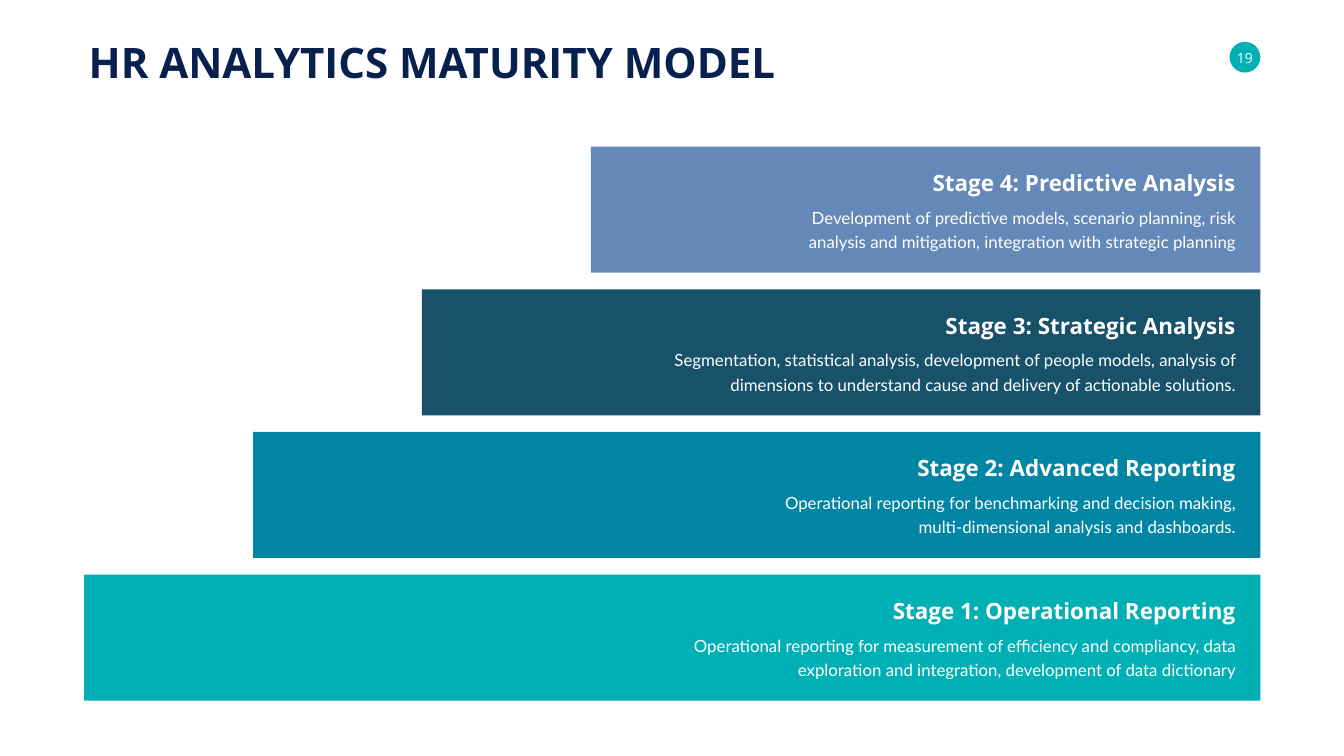
from pptx import Presentation
from pptx.dml.color import RGBColor
from pptx.enum.shapes import MSO_SHAPE
from pptx.enum.text import MSO_ANCHOR, MSO_AUTO_SIZE, PP_ALIGN
from pptx.util import Emu, Pt

RECT, OVAL = MSO_SHAPE.RECTANGLE, MSO_SHAPE.OVAL
TOP, MIDDLE, BOTTOM = MSO_ANCHOR.TOP, MSO_ANCHOR.MIDDLE, MSO_ANCHOR.BOTTOM
LEFT, CENTER, RIGHT = PP_ALIGN.LEFT, PP_ALIGN.CENTER, PP_ALIGN.RIGHT
FIT = MSO_AUTO_SIZE.SHAPE_TO_FIT_TEXT

WHITE = RGBColor(0xFF, 0xFF, 0xFF)
NAVY = RGBColor(0x08, 0x20, 0x4D)
TEAL = RGBColor(0x00, 0xB0, 0xB5)
OCEAN = RGBColor(0x00, 0x85, 0xA4)
DEEP = RGBColor(0x18, 0x52, 0x6A)
STEEL = RGBColor(0x64, 0x88, 0xB7)

SCALE = 9144
EDGE = 2500
TEXT_EDGE = 2461
FIRST_LEFT, FIRST_TOP = 1172, 291
STEP_LEFT, STEP_TOP = 335, 283
BAR_HIGH = 250

STAGES = [
    ("Stage 4: Predictive Analysis", STEEL, 627, 981,
     "Development of predictive models, scenario planning, risk analysis "
     "and mitigation, integration with strategic planning"),
    ("Stage 3: Strategic Analysis", DEEP, 601, 1155,
     "Segmentation, statistical analysis, development of people models, analysis of "
     "dimensions to understand cause and delivery of actionable solutions."),
    ("Stage 2: Advanced Reporting", OCEAN, 657, 981,
     "Operational reporting for benchmarking and decision making, "
     "multi-dimensional analysis and dashboards."),
    ("Stage 1: Operational Reporting", TEAL, 706, 1128,
     "Operational reporting for measurement of efficiency and compliancy, data "
     "exploration and integration, development of data dictionary"),
]


def px(count):
    return Emu(count * SCALE)


def write(frame, text, size=24, font="Open Sans", color=WHITE, bold=False,
          align=LEFT, line=None):
    par = frame.paragraphs[0]
    par.alignment = align
    if line:
        par.line_spacing = Pt(line)
    run = par.add_run()
    run.text = text
    run.font.size = Pt(size)
    run.font.name = font
    run.font.bold = bold
    run.font.color.rgb = color


class Deck:
    def __init__(self, wide, high):
        self.show = Presentation()
        self.show.slide_width, self.show.slide_height = px(wide), px(high)
        self.slide = self.show.slides.add_slide(self.show.slide_layouts[6])

    def block(self, kind, left, top, wide, high, color):
        shape = self.slide.shapes.add_shape(kind, px(left), px(top), px(wide), px(high))
        shape.shadow.inherit = False
        shape.fill.solid()
        shape.fill.fore_color.rgb = color
        shape.line.fill.background()

    def label(self, left, top, wide, high, text, anchor=TOP, wrap=False,
              inset=True, **form):
        box = self.slide.shapes.add_textbox(px(left), px(top), px(wide), px(high))
        frame = box.text_frame
        frame.word_wrap = wrap
        frame.auto_size = FIT
        frame.vertical_anchor = anchor
        if not inset:
            frame.margin_left = frame.margin_right = 0
            frame.margin_top = frame.margin_bottom = 0
        write(frame, text, **form)

    def stage(self, rank, head, color, head_wide, body_wide, body):
        left = FIRST_LEFT - rank * STEP_LEFT
        top = FIRST_TOP + rank * STEP_TOP
        self.block(RECT, left, top, EDGE - left, BAR_HIGH, color)
        self.label(TEXT_EDGE - head_wide, top + 29, head_wide, 74, head,
                   anchor=BOTTOM, size=32, bold=True, align=RIGHT, line=50)
        self.label(TEXT_EDGE - body_wide, top + 107, body_wide, 103, body,
                   wrap=True, font="Lato", align=RIGHT, line=35)


def main():
    deck = Deck(2666, 1500)
    deck.block(OVAL, 2439, 83, 61, 61, TEAL)
    deck.label(2452, 97, 35, 34, "19", anchor=MIDDLE, inset=False, size=20, align=CENTER)
    deck.label(166, 67, 1396, 111, "HR ANALYTICS MATURITY MODEL",
               size=60, color=NAVY, bold=True)
    for rank, stage in enumerate(STAGES):
        deck.stage(rank, *stage)
    deck.show.save("out.pptx")


if __name__ == "__main__":
    main()
